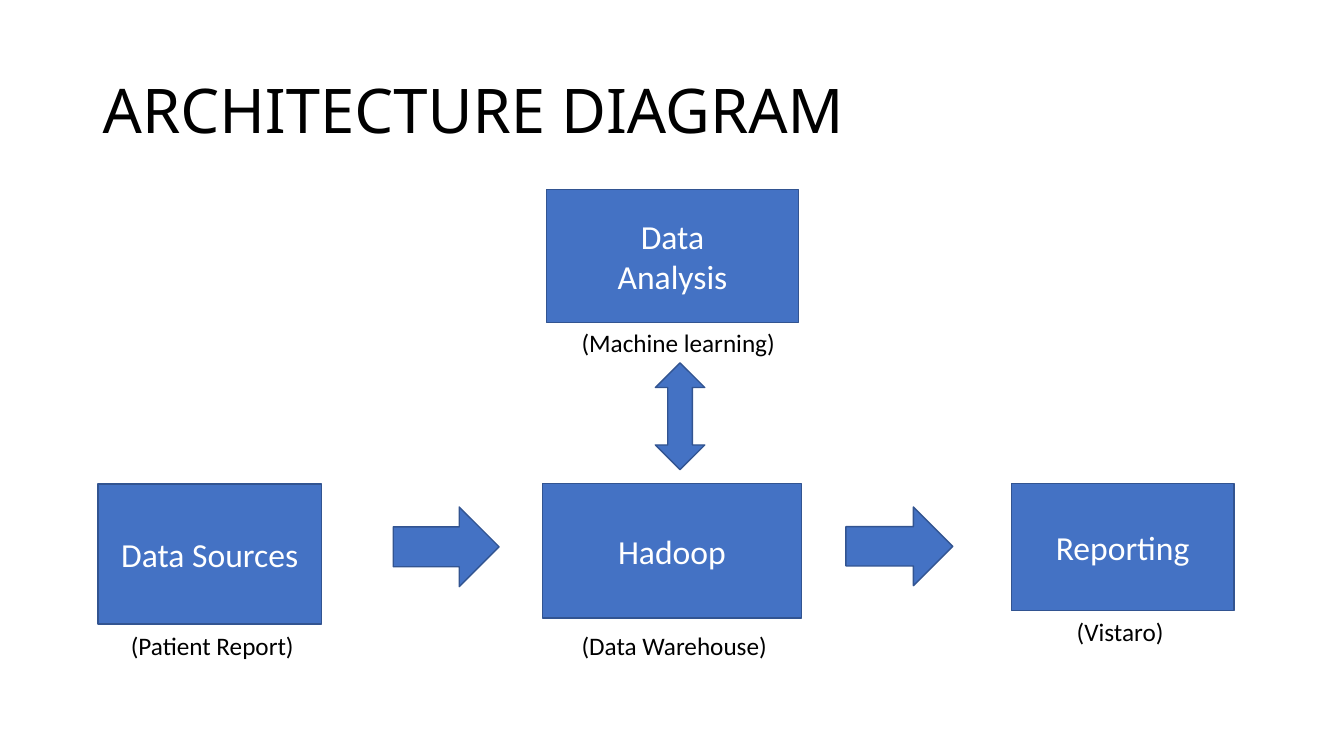
"""Build the architecture diagram slide."""
import pptx
import pptx.dml.color
import pptx.enum.shapes
import pptx.enum.text
import pptx.util

Inches = pptx.util.Inches
Pt = pptx.util.Pt
SHAPE = pptx.enum.shapes.MSO_SHAPE
MIDDLE = pptx.enum.text.MSO_ANCHOR.MIDDLE
CENTER = pptx.enum.text.PP_ALIGN.CENTER


def color(value):
    return pptx.dml.color.RGBColor.from_string(value)


def write(box, lines, size, font, fill, align=None):
    frame = box.text_frame
    frame.word_wrap = True
    for index, line in enumerate(lines):
        para = frame.add_paragraph() if index else frame.paragraphs[0]
        para.alignment = align
        span = para.add_run()
        span.text = line
        span.font.size = Pt(size)
        span.font.name = font
        span.font.color.rgb = color(fill)
    return frame


deck = pptx.Presentation()
deck.slide_width = Inches(13.33)
deck.slide_height = Inches(7.5)
page = deck.slides.add_slide(deck.slide_layouts[6])

title = page.shapes.add_textbox(Inches(0.92), Inches(0.4), Inches(11.5), Inches(1.45))
title_frame = write(title, ["ARCHITECTURE DIAGRAM"], 44, "Noto Sans", "000000")
title_frame.vertical_anchor = MIDDLE
title_frame.paragraphs[0].line_spacing = 0.9

blocks = [
    (SHAPE.RECTANGLE, 0.97, 4.8, 2.22, 1.39, ["Data Sources"]),
    (SHAPE.RECTANGLE, 5.38, 4.8, 2.57, 1.33, ["Hadoop"]),
    (SHAPE.RECTANGLE, 5.42, 1.88, 2.5, 1.32, ["Data", "Analysis"]),
    (SHAPE.RECTANGLE, 10.03, 4.8, 2.21, 1.26, ["Reporting"]),
    (SHAPE.UP_DOWN_ARROW, 6.5, 3.6, 0.49, 1.06, []),
    (SHAPE.RIGHT_ARROW, 3.9, 5.03, 1.05, 0.79, []),
    (SHAPE.RIGHT_ARROW, 8.39, 5.03, 1.06, 0.78, []),
]
for kind, left, top, width, height, lines in blocks:
    block = page.shapes.add_shape(
        kind, Inches(left), Inches(top), Inches(width), Inches(height))
    block.shadow.inherit = False
    block.fill.solid()
    block.fill.fore_color.rgb = color("4472C4")
    block.line.color.rgb = color("325491")
    block.line.width = Pt(1)
    write(block, lines, 24, "Calibri", "FFFFFF", CENTER).vertical_anchor = MIDDLE

captions = [
    (5.67, 3.2, 3, "(Machine learning)"),
    (1.2, 6.2, 3, "(Patient Report)"),
    (5.67, 6.2, 3, "(Data Warehouse)"),
    (10.58, 6.07, 2.61, "(Vistaro)"),
]
for left, top, width, caption in captions:
    label = page.shapes.add_textbox(Inches(left), Inches(top), Inches(width), Inches(0.4))
    write(label, [caption], 18, "Calibri", "000000")

deck.save("out.pptx")
